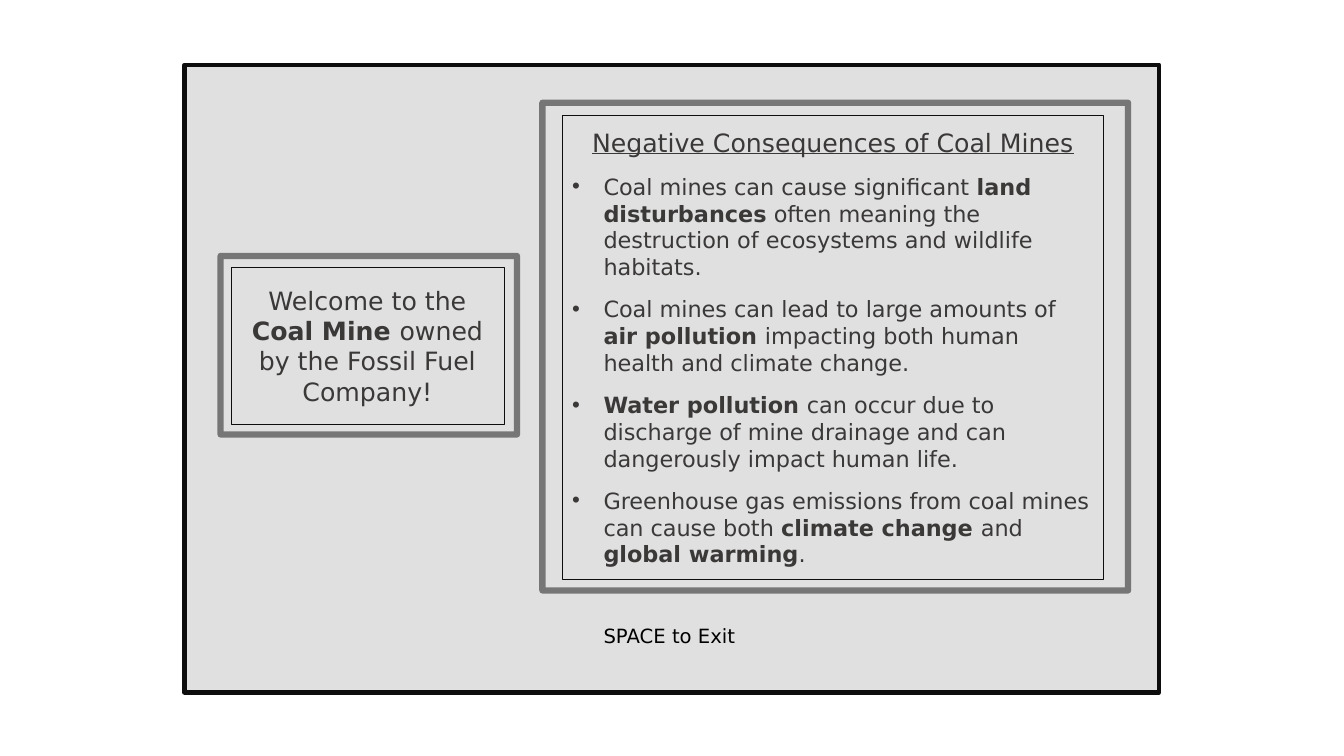
from lxml import etree
from pptx import Presentation
from pptx import util as u
from pptx.dml.color import RGBColor
from pptx.enum import shapes, text
from pptx.oxml.ns import qn


def colour(hex_code):
    return RGBColor.from_string(hex_code)


def set_alpha(fill, percent):
    """Make a solid fill, of a shape or of a line, partly transparent."""
    colour_node = fill._xPr.find(qn("a:solidFill"))[0]
    etree.SubElement(colour_node, qn("a:alpha"), val=str(percent * 1000))


class SlideBuilder:
    FONT = "DejaVu Sans"
    INK = "3B3838"
    EDGE = "0D0D0D"
    BLACK = "000000"
    GAP = 10.8      # points between paragraphs
    INDENT = 0.79   # hanging indent of bullets, in cm

    def __init__(self, slide):
        self.slide = slide

    def box(self, parent, place, line_width, fill_alpha=None, line_alpha=None):
        rect = parent.shapes.add_shape(shapes.MSO_SHAPE.RECTANGLE, *map(u.Cm, place))
        rect.shadow.inherit = False
        if fill_alpha is None:
            rect.fill.background()
        else:
            rect.fill.solid()
            rect.fill.fore_color.rgb = colour(self.BLACK)
            set_alpha(rect.fill, fill_alpha)
        rect.line.width = u.Pt(line_width)
        rect.line.color.rgb = colour(self.EDGE)
        if line_alpha is not None:
            set_alpha(rect.line.fill, line_alpha)
        return rect

    def runs(self, paragraph, pieces, size, ink=INK, underline=False):
        """Pieces alternate between regular and bold text, regular first."""
        for index, words in enumerate(pieces):
            if not words:
                continue
            run = paragraph.add_run()
            run.text = words
            run.font.name = self.FONT
            run.font.size = u.Pt(size)
            run.font.bold = index % 2 == 1
            run.font.underline = underline
            run.font.color.rgb = colour(ink)

    def bullet(self, paragraph):
        props = paragraph._p.get_or_add_pPr()
        props.set("marL", str(u.Cm(self.INDENT)))
        props.set("indent", str(-u.Cm(self.INDENT)))
        etree.SubElement(props, qn("a:buFont"), typeface="Arial")
        etree.SubElement(props, qn("a:buChar"), char="•")

    def panel(self, inner, outer, heading, points=(), underline=False):
        """A thin text box inside a thick, half-transparent frame."""
        group = self.slide.shapes.add_group_shape()
        frame = self.box(group, inner, 0.5).text_frame
        frame.word_wrap = True
        frame.vertical_anchor = text.MSO_ANCHOR.MIDDLE
        title = frame.paragraphs[0]
        title.alignment = text.PP_ALIGN.CENTER
        self.runs(title, heading, 18, underline=underline)
        for pieces in points:
            point = frame.add_paragraph()
            point.alignment = text.PP_ALIGN.LEFT
            point.space_before = u.Pt(self.GAP)
            self.bullet(point)
            self.runs(point, pieces, 16)
        self.box(group, outer, 4.5, line_alpha=50)

    def label(self, place, words, size):
        frame = self.slide.shapes.add_textbox(*map(u.Cm, place)).text_frame
        frame.word_wrap = True
        self.runs(frame.paragraphs[0], [words], size, self.BLACK)


def main():
    deck = Presentation()
    deck.slide_width, deck.slide_height = u.Cm(33.87), u.Cm(19.05)
    builder = SlideBuilder(deck.slides.add_slide(deck.slide_layouts[6]))

    # Grey backdrop and exit hint
    builder.box(builder.slide, (4.65, 1.63, 24.56, 15.82), 3, fill_alpha=12)
    builder.label((14.96, 15.6, 3.94, 0.86), "SPACE to Exit", 14)

    # Welcome panel
    builder.panel(
        (5.82, 6.73, 6.88, 3.96), (5.56, 6.45, 7.47, 4.5),
        ["Welcome to the ", "Coal Mine ", "owned by the Fossil Fuel Company!"])

    # Consequences panel
    consequences = [
        ["Coal mines can cause significant ", "land disturbances",
         " often meaning the destruction of ecosystems and wildlife habitats."],
        ["Coal mines can lead to large amounts of ", "air pollution ",
         "impacting both human health and climate change."],
        ["", "Water pollution ",
         "can occur due to discharge of mine drainage and can dangerously impact human life."],
        ["Greenhouse gas emissions from coal mines can cause both ",
         "climate change ", "and ", "global warming", "."],
    ]
    builder.panel(
        (14.17, 2.9, 13.64, 11.71), (13.67, 2.59, 14.76, 12.29),
        ["Negative Consequences of Coal Mines"], consequences, underline=True)

    deck.save("out.pptx")


if __name__ == "__main__":
    main()
